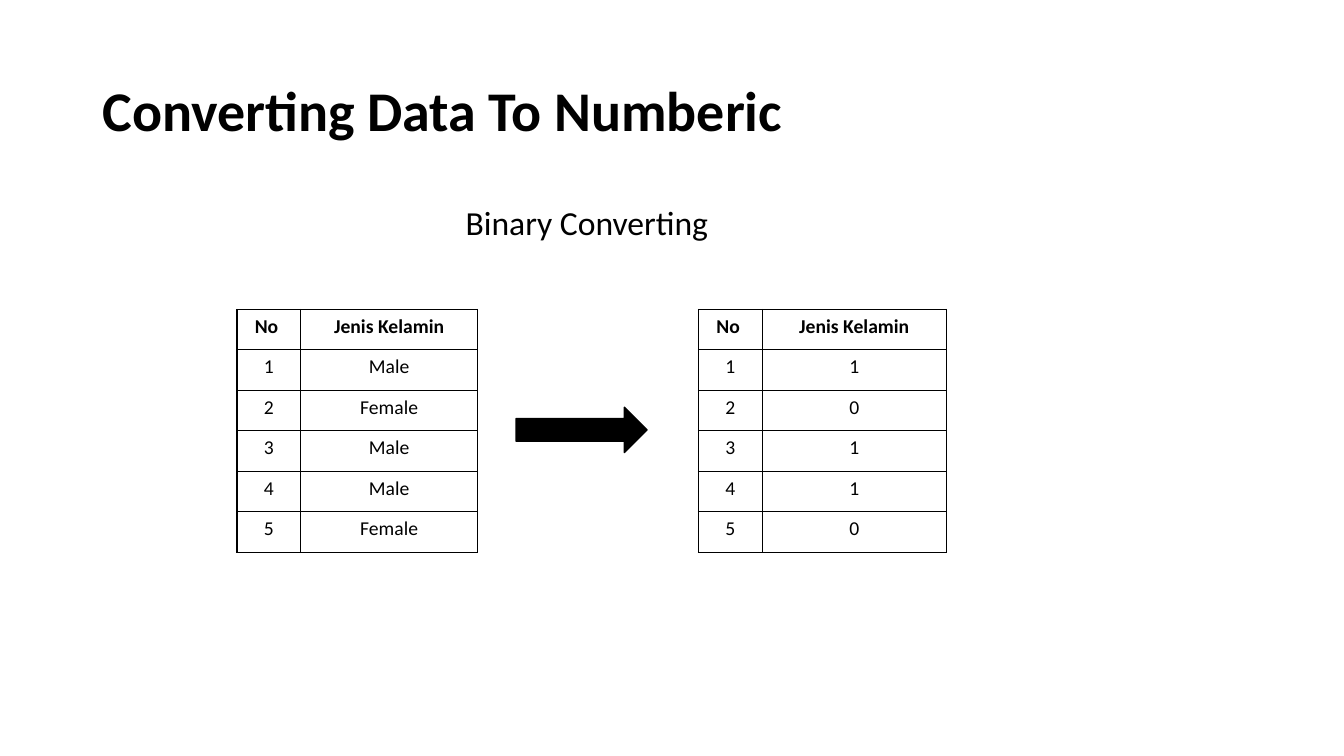
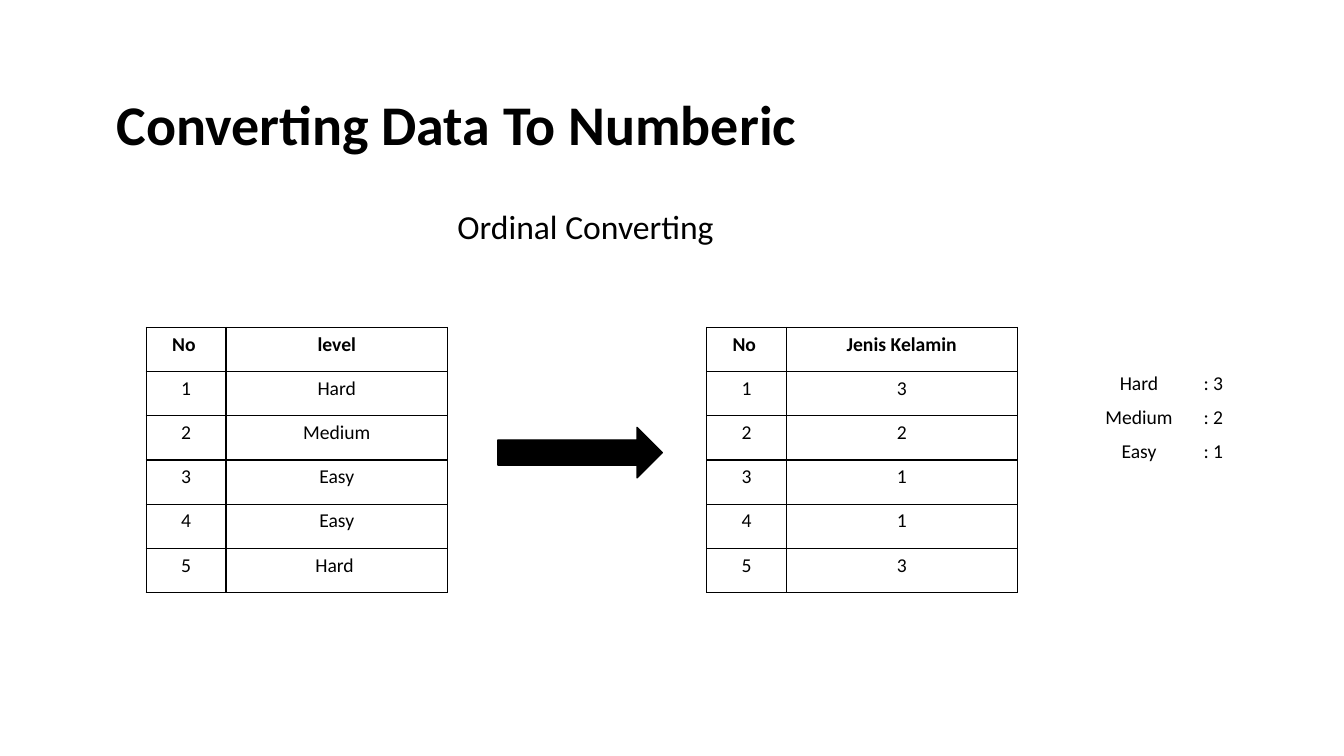
from dataclasses import dataclass

from lxml import etree
from pptx import Presentation
from pptx.dml.color import RGBColor
from pptx.enum.shapes import MSO_SHAPE
from pptx.enum.text import MSO_ANCHOR, MSO_AUTO_SIZE, PP_ALIGN
from pptx.oxml.ns import qn
from pptx.util import Inches, Pt

ARROW = MSO_SHAPE.RIGHT_ARROW
MIDDLE = MSO_ANCHOR.MIDDLE
TOP = MSO_ANCHOR.TOP
GROW = MSO_AUTO_SIZE.SHAPE_TO_FIT_TEXT
FIXED = MSO_AUTO_SIZE.NONE
LEFT, CENTER = PP_ALIGN.LEFT, PP_ALIGN.CENTER
SLIDE_WIDTH, SLIDE_HEIGHT = Inches(13.333), Inches(7.5)
COLUMN, ROW = SLIDE_WIDTH / 100, SLIDE_HEIGHT / 100
BLANK_LAYOUT = 6


@dataclass(frozen=True)
class Theme:
    """Colours, font and sizes shared by all slides."""
    ink: RGBColor = RGBColor(0, 0, 0)
    paper: RGBColor = RGBColor(255, 255, 255)
    font: str = "Calibri"
    title: int = 40
    subtitle: int = 24
    body: int = 14
    line: int = 1
    title_spacing: float = 0.9


THEME = Theme()


@dataclass(frozen=True)
class Box:
    """A region in columns and rows of a 100 by 100 slide grid."""
    column: float
    row: float
    columns: float
    rows: float

    def place(self):
        """Return left, top, width and height in slide units."""
        return (round(self.column * COLUMN), round(self.row * ROW),
                round(self.columns * COLUMN), round(self.rows * ROW))


def style_text(frame, size, bold=False, align=LEFT):
    """Format every paragraph and run in a text frame."""
    for para in frame.paragraphs:
        para.alignment = align
        for span in para.runs:
            span.font.name = THEME.font
            span.font.size = Pt(size)
            span.font.bold = bold
            span.font.color.rgb = THEME.ink


def add_text(page, box, text, size, bold=False, anchor=TOP, fit=GROW):
    """Add a wrapped text box and return its frame."""
    frame = page.shapes.add_textbox(*box.place()).text_frame
    frame.word_wrap = True
    frame.auto_size = fit
    frame.vertical_anchor = anchor
    frame.text = text
    style_text(frame, size, bold)
    return frame


def add_title(page, box):
    """Add the heading that the slides share."""
    frame = add_text(page, box, "Converting Data To Numberic", THEME.title,
                     bold=True, anchor=MIDDLE, fit=FIXED)
    frame.paragraphs[0].line_spacing = THEME.title_spacing


def set_borders(cell, visible):
    """Rule all four sides of a cell, or leave them open."""
    properties = cell._tc.get_or_add_tcPr()
    for side in ("a:lnL", "a:lnR", "a:lnT", "a:lnB"):
        edge = etree.SubElement(properties, qn(side), w=str(Pt(THEME.line)))
        if visible:
            fill = etree.SubElement(edge, qn("a:solidFill"))
            etree.SubElement(fill, qn("a:srgbClr"), val=str(THEME.ink))
        else:
            etree.SubElement(edge, qn("a:noFill"))


def add_grid(page, box, records, first_columns, header=True, aligns=(CENTER, CENTER)):
    """Add a two-column table with equal rows, ruled when it has a header."""
    left, top, width, height = box.place()
    table = page.shapes.add_table(len(records), 2, left, top, width, height).table
    table.first_row = table.horz_banding = False
    first_width = round(first_columns * COLUMN)
    for column, size in zip(table.columns, (first_width, width - first_width)):
        column.width = size
    for index, record in enumerate(records):
        table.rows[index].height = height // len(records)
        for position, text in enumerate(record):
            cell = table.cell(index, position)
            cell.text = text
            style_text(cell.text_frame, THEME.body, header and index == 0, aligns[position])
            set_borders(cell, header)
            if header:
                cell.fill.solid()
                cell.fill.fore_color.rgb = THEME.paper
            else:
                cell.fill.background()


def add_arrow(page, box):
    """Add the solid arrow between the two tables."""
    arrow = page.shapes.add_shape(ARROW, *box.place())
    arrow.shadow.inherit = False
    arrow.fill.solid()
    arrow.fill.fore_color.rgb = THEME.ink
    arrow.line.color.rgb = THEME.ink
    arrow.line.width = Pt(THEME.line)


def numbered(heading, values):
    """Put a header above the values and number them from one."""
    return [("No ", heading)] + [(str(n), value) for n, value in enumerate(values, 1)]


def add_conversion(deck, title, subtitle, before, arrow, after, number_columns, content):
    """Add a slide that converts one table into another and return it."""
    page = deck.slides.add_slide(deck.slide_layouts[BLANK_LAYOUT])
    name, heading, values, codes = content
    add_title(page, title)
    add_text(page, subtitle, name, THEME.subtitle)
    add_grid(page, before, numbered(heading, values), number_columns)
    add_grid(page, after, numbered("Jenis Kelamin", codes), number_columns)
    add_arrow(page, arrow)
    return page


def main():
    """Build and save the deck."""
    deck = Presentation()
    deck.slide_width, deck.slide_height = SLIDE_WIDTH, SLIDE_HEIGHT
    add_conversion(
        deck,
        title=Box(6.9, 5.33, 86.25, 19.33),
        subtitle=Box(33.9, 26, 20.85, 6.67),
        before=Box(17.63, 40.93, 17.93, 32.13),
        arrow=Box(38.4, 53.87, 9.75, 6),
        after=Box(51.98, 40.93, 18.45, 32.13),
        number_columns=4.73,
        content=("Binary Converting", "Jenis Kelamin",
                 ("Male", "Female", "Male", "Male", "Female"), "10110"))
    ordinal = add_conversion(
        deck,
        title=Box(7.95, 7.2, 86.25, 19.33),
        subtitle=Box(33.3, 26.53, 20.85, 6.67),
        before=Box(10.88, 43.33, 22.43, 35.07),
        arrow=Box(37.05, 56.53, 12.23, 6.67),
        after=Box(52.58, 43.33, 23.1, 35.07),
        number_columns=5.93,
        content=("Ordinal Converting", "level",
                 ("Hard", "Medium", "Easy", "Easy", "Hard "), "32113"))
    add_grid(ordinal, Box(80.7, 48.53, 16.7, 13.4),
             [("Hard", ": 3"), ("Medium", ": 2"), ("Easy", ": 1")],
             first_columns=8.1, header=False, aligns=(CENTER, LEFT))
    deck.save("out.pptx")


main()
